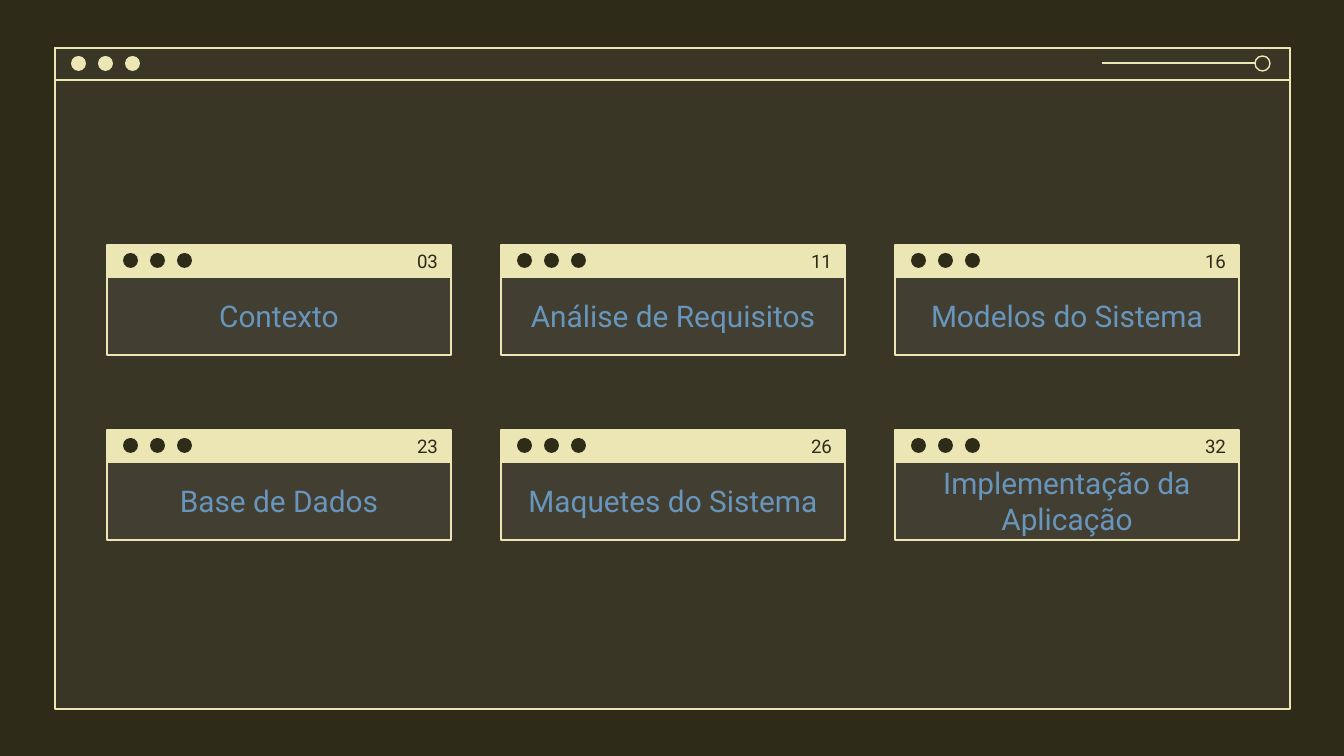
from lxml import etree
from pptx import Presentation
from pptx.dml.color import RGBColor
from pptx.enum import shapes, text
from pptx.oxml.ns import qn
from pptx.util import Emu, Pt

# Content: heading and page of each section, row by row
SECTIONS = [
    ("Contexto", "03"),
    ("Análise de Requisitos", "11"),
    ("Modelos do Sistema", "16"),
    ("Base de Dados", "23"),
    ("Maquetes do Sistema", "26"),
    ("Implementação da Aplicação", "32"),
]

DARK = RGBColor(0x2F, 0x2B, 0x19)
CREAM = RGBColor(0xEC, 0xE5, 0xB4)
GREY = RGBColor(0x7C, 0x7C, 0x7C)
BLUE = RGBColor(0x68, 0x95, 0xBB)
FONT = "Roboto"

# Geometry in px
SLIDE_W, SLIDE_H = 1344, 756
WINDOW = (55, 48, 1235, 661)
COLUMNS = 3
CARD_X, CARD_Y, CARD_W, CARD_H = 107, 245, 344, 110
STEP_X, STEP_Y = 394, 185
BAR_H, NUMBER_W, INSET = 32, 187, 13
DOT, DOT_STEP, DOT_X, DOT_Y = 15, 27, 16, 8
RECT, OVAL = shapes.MSO_SHAPE.RECTANGLE, shapes.MSO_SHAPE.OVAL


def px(n):
    return Emu(round(n * 914400 / 134.4))


def outline(shape):
    shape.line.color.rgb = CREAM
    shape.line.width = Pt(0.75)


def add_shape(kind, box, fill=None, line=False, opacity=None):
    shape = slide.shapes.add_shape(kind, *map(px, box))
    shape.shadow.inherit = False
    if fill is None:
        shape.fill.background()
    else:
        shape.fill.solid()
        shape.fill.fore_color.rgb = fill
    if opacity is not None:
        color = shape.fill._xPr.find(".//" + qn("a:srgbClr"))
        etree.SubElement(color, qn("a:alpha"), val=str(opacity * 1000))
    if line:
        outline(shape)
    else:
        shape.line.fill.background()
    return shape


def add_dots(x, y, color):
    for i in range(3):
        add_shape(OVAL, (x + DOT_X + i * DOT_STEP, y + DOT_Y, DOT, DOT), color)


def write(shape, words, size, color, align):
    frame = shape.text_frame
    frame.word_wrap = True
    frame.auto_size = text.MSO_AUTO_SIZE.NONE
    frame.vertical_anchor = text.MSO_ANCHOR.MIDDLE
    frame.margin_left = frame.margin_right = px(INSET)
    frame.margin_top = frame.margin_bottom = 0
    paragraph = frame.paragraphs[0]
    paragraph.text = words
    paragraph.alignment = align
    paragraph.font.name = FONT
    paragraph.font.size = Pt(size)
    paragraph.font.color.rgb = color


def place_title(box):
    title = slide.shapes.title
    title.left, title.top, title.width, title.height = map(px, box)
    outline(title)
    slide.shapes._spTree.append(title._element)  # in front of its card
    return title


prs = Presentation()
prs.slide_width, prs.slide_height = px(SLIDE_W), px(SLIDE_H)
slide = prs.slides.add_slide(prs.slide_layouts[5])
slide.background.fill.solid()
slide.background.fill.fore_color.rgb = DARK

# Window frame with its title bar
window_x, window_y, window_w, _ = WINDOW
add_shape(RECT, WINDOW, GREY, opacity=14)
add_shape(RECT, WINDOW, line=True)
add_shape(RECT, (window_x, window_y, window_w, BAR_H), line=True)
add_dots(window_x, window_y, CREAM)

# Slider at the right of the title bar
add_shape(OVAL, (1255, window_y + DOT_Y, DOT, DOT), line=True)
slider = slide.shapes.add_connector(
    shapes.MSO_CONNECTOR.STRAIGHT, px(1102), px(63), px(1255), px(63))
outline(slider)
etree.SubElement(slider._element.spPr, qn("a:effectLst"))

# Section cards
for i, (heading, page) in enumerate(SECTIONS):
    row, column = divmod(i, COLUMNS)
    x, y = CARD_X + column * STEP_X, CARD_Y + row * STEP_Y
    add_shape(RECT, (x, y, CARD_W, CARD_H), GREY, opacity=14)
    add_shape(RECT, (x, y, CARD_W, BAR_H), CREAM, line=True)
    add_dots(x, y, DARK)

    body_box = (x, y + BAR_H, CARD_W, CARD_H - BAR_H)
    body = place_title(body_box) if i == 0 else add_shape(RECT, body_box, line=True)
    write(body, heading, 16, BLUE, text.PP_ALIGN.CENTER)

    number = slide.shapes.add_textbox(
        *map(px, (x + CARD_W - NUMBER_W, y, NUMBER_W, BAR_H)))
    write(number, page, 10, DARK, text.PP_ALIGN.RIGHT)

prs.save("out.pptx")
